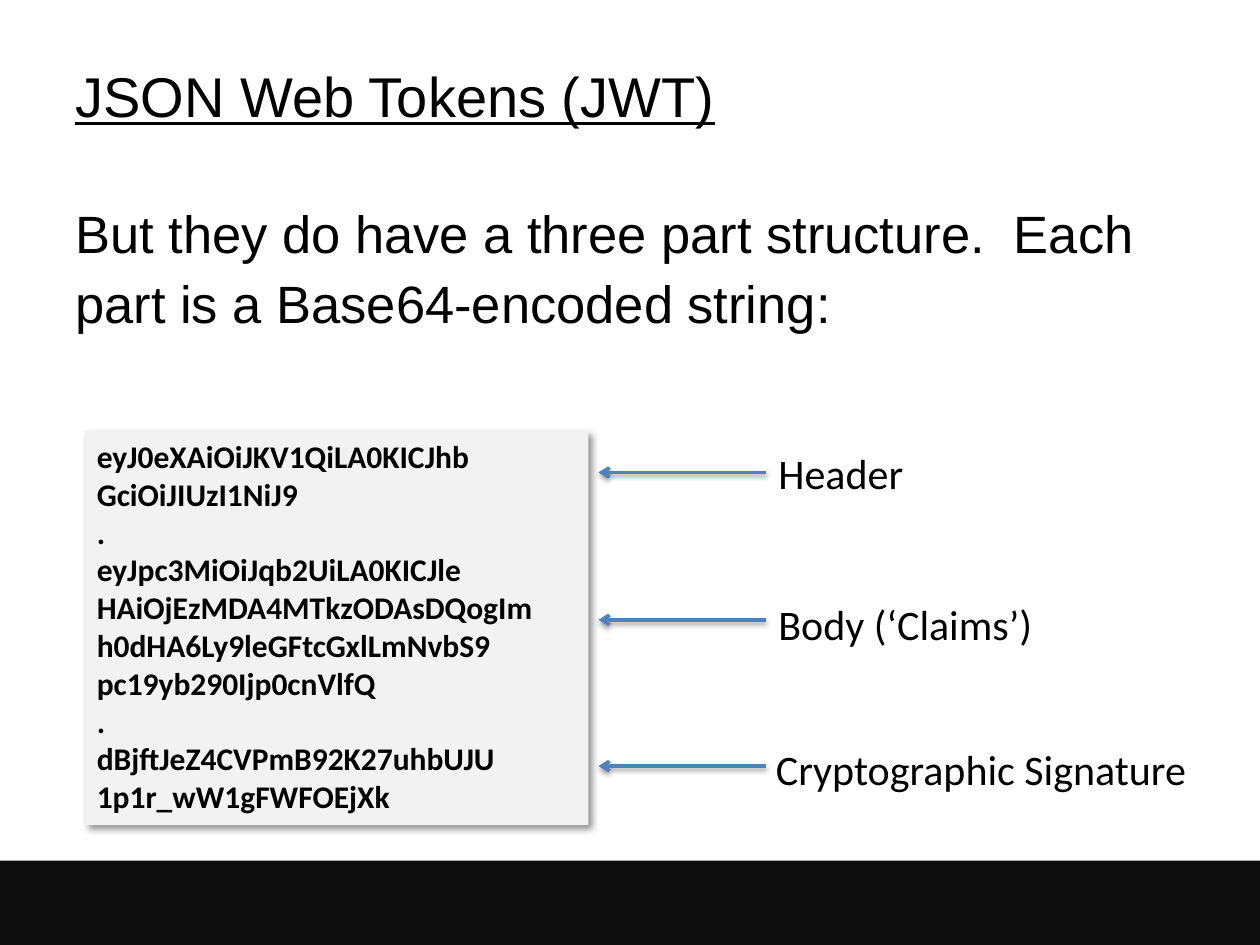
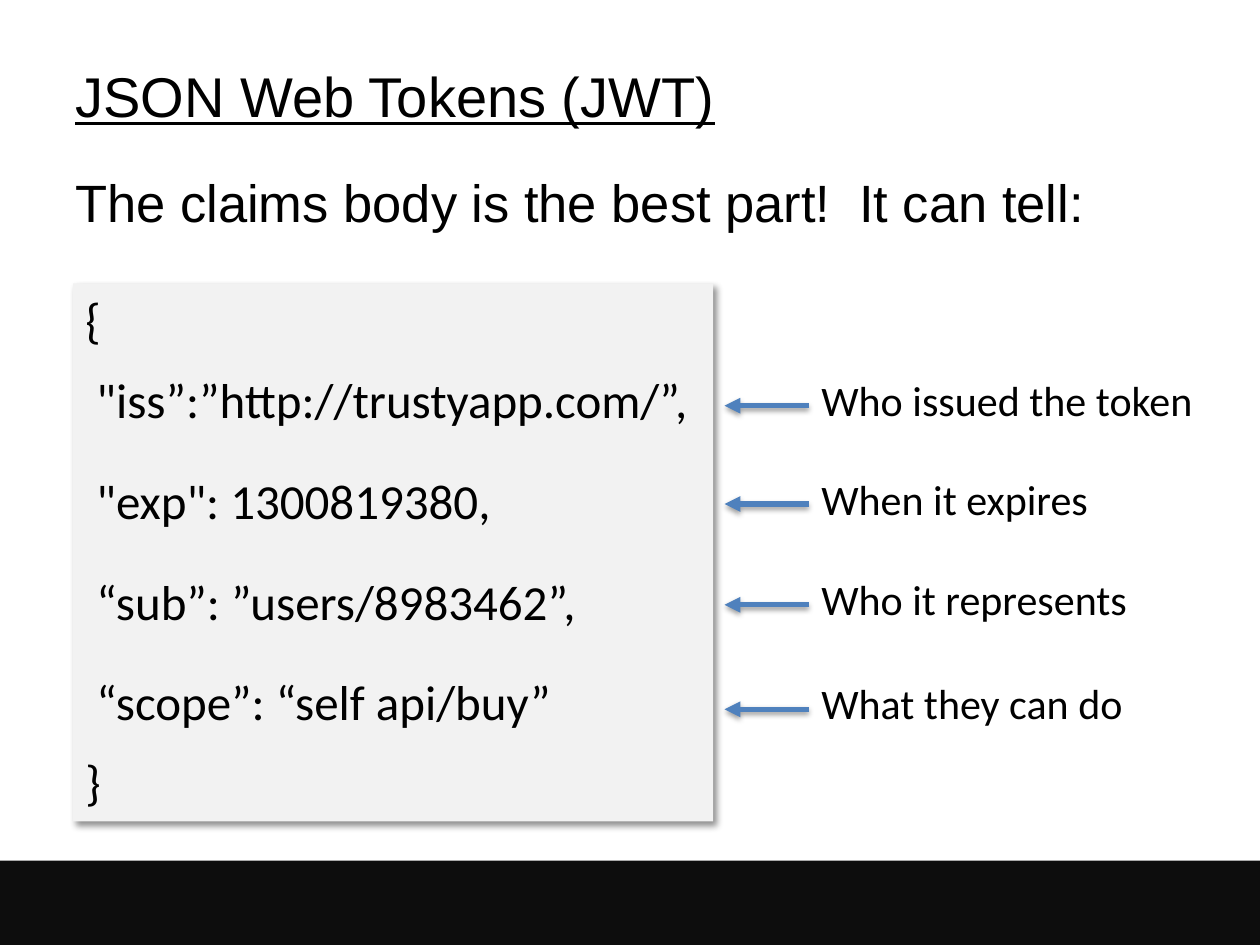
from lxml import etree
from pptx import Presentation
from pptx.dml.color import RGBColor
from pptx.enum.shapes import MSO_CONNECTOR, MSO_SHAPE
from pptx.enum.text import MSO_ANCHOR, MSO_AUTO_SIZE, PP_ALIGN
from pptx.oxml.ns import qn
from pptx.util import Inches, Pt

BLACK = RGBColor(0, 0, 0)
BAND = RGBColor(0x0D, 0x0D, 0x0D)
PANEL = RGBColor(0xF2, 0xF2, 0xF2)
BLUE = RGBColor(0x4F, 0x81, 0xBD)
RECT = MSO_SHAPE.RECTANGLE
LINE = MSO_CONNECTOR.STRAIGHT
TOP = MSO_ANCHOR.TOP
MIDDLE = MSO_ANCHOR.MIDDLE
LEFT = PP_ALIGN.LEFT
GROW = MSO_AUTO_SIZE.SHAPE_TO_FIT_TEXT

TITLE = "JSON Web Tokens (JWT)"
TOKEN = [
    "eyJ0eXAiOiJKV1QiLA0KICJhb",
    "GciOiJIUzI1NiJ9",
    ".",
    "eyJpc3MiOiJqb2UiLA0KICJle",
    "HAiOjEzMDA4MTkzODAsDQogIm",
    "h0dHA6Ly9leGFtcGxlLmNvbS9",
    "pc19yb290Ijp0cnVlfQ",
    ".",
    "dBjftJeZ4CVPmB92K27uhbUJU",
    "1p1r_wW1gFWFOEjXk",
]
CLAIMS = [
    "{",
    ' "iss”:”http://trustyapp.com/”,',
    ' "exp": 1300819380,',
    " “sub”: ”users/8983462”,",
    " “scope”: “self api/buy”",
    "}",
]
PARTS = [
    ("Header", 6.08, 3.5, 1.2, 3.75),
    ("Body (‘Claims’)", 6.08, 4.7, 2.24, 4.92),
    ("Cryptographic Signature", 6.06, 5.85, 3.51, 6.08),
]
FACTS = [
    ("Who issued the token", 6.42, 2.92, 3.19, 3.22),
    ("When it expires", 6.42, 3.71, 2.35, 4),
    ("Who it represents", 6.42, 4.5, 2.66, 4.8),
    ("What they can do", 6.42, 5.33, 2.62, 5.63),
]
SLIDES = [
    ("But they do have a three part structure.  Each part is a Base64-encoded string:",
     (0.5, 1.5, 9, 1.25), TOKEN, (0.67, 3.42, 4, 3.13), 18, True, 0,
     PARTS, 6.08, 4.75, 2, "arrow"),
    ("The claims body is the best part!  It can tell:",
     (0.5, 1.25, 9, 0.67), CLAIMS, (0.58, 2.25, 5.08, 4.27), 28, False, 12,
     FACTS, 6.42, 5.75, 3, "triangle"),
]


def write(shape, text, font, size, anchor=TOP, wrap=True):
    frame = shape.text_frame
    frame.text = text
    frame.word_wrap = wrap
    frame.vertical_anchor = anchor
    for para in frame.paragraphs:
        para.alignment = LEFT
        for run in para.runs:
            run.font.name = font
            run.font.size = Pt(size)
            run.font.color.rgb = BLACK
    return frame


def shade(shape, alpha, blur, dist, angle):
    props = shape._element.spPr
    for old in props.findall(qn("a:effectLst")):
        props.remove(old)
    effects = etree.SubElement(props, qn("a:effectLst"))
    outer = etree.SubElement(
        effects, qn("a:outerShdw"), blurRad=str(Pt(blur)), dist=str(Pt(dist)),
        dir=str(angle * 60000), algn="tl", rotWithShape="0")
    tint = etree.SubElement(outer, qn("a:srgbClr"), val=str(BLACK))
    etree.SubElement(tint, qn("a:alpha"), val=str(alpha * 1000))


deck = Presentation()
deck.slide_width = Inches(10)
deck.slide_height = Inches(7.5)

for (lead, place, code, area, size, bold, gap,
     notes, start, end, weight, head) in SLIDES:
    slide = deck.slides.add_slide(deck.slide_layouts[6])
    shapes = slide.shapes

    band = shapes.add_shape(RECT, 0, Inches(6.83), Inches(10.01), Inches(0.68))
    band.shadow.inherit = False
    band.fill.solid()
    band.fill.fore_color.rgb = BAND
    band.line.fill.background()

    title = shapes.add_textbox(Inches(0.5), Inches(0.42), Inches(9), Inches(0.67))
    frame = write(title, TITLE, "Arial", 32, MIDDLE)
    frame.paragraphs[0].runs[0].font.underline = True

    intro = shapes.add_textbox(*map(Inches, place))
    para = write(intro, lead, "Arial", 30).paragraphs[0]
    para.line_spacing = 1.1
    para.space_before = Pt(6)

    panel = shapes.add_shape(RECT, *map(Inches, area))
    panel.fill.solid()
    panel.fill.fore_color.rgb = PANEL
    panel.line.fill.background()
    shade(panel, 43, 4, 3, 45)
    frame = write(panel, "\n".join(code), "Calibri", size)
    frame.auto_size = GROW
    for para in frame.paragraphs:
        para.runs[0].font.bold = bold
    for para in frame.paragraphs[1:-1]:
        para.space_before = para.space_after = Pt(gap)

    for text, left, top, width, level in notes:
        label = shapes.add_textbox(
            Inches(left), Inches(top), Inches(width), Inches(0.5))
        write(label, text, "Calibri", 24, wrap=False).auto_size = GROW

        arrow = shapes.add_connector(
            LINE, Inches(start), Inches(level), Inches(end), Inches(level))
        arrow.line.color.rgb = BLUE
        arrow.line.width = Pt(weight)
        etree.SubElement(arrow.line._get_or_add_ln(), qn("a:tailEnd"), type=head)
        shade(arrow, 38, 3.1, 1.6, 90)

deck.save("out.pptx")
